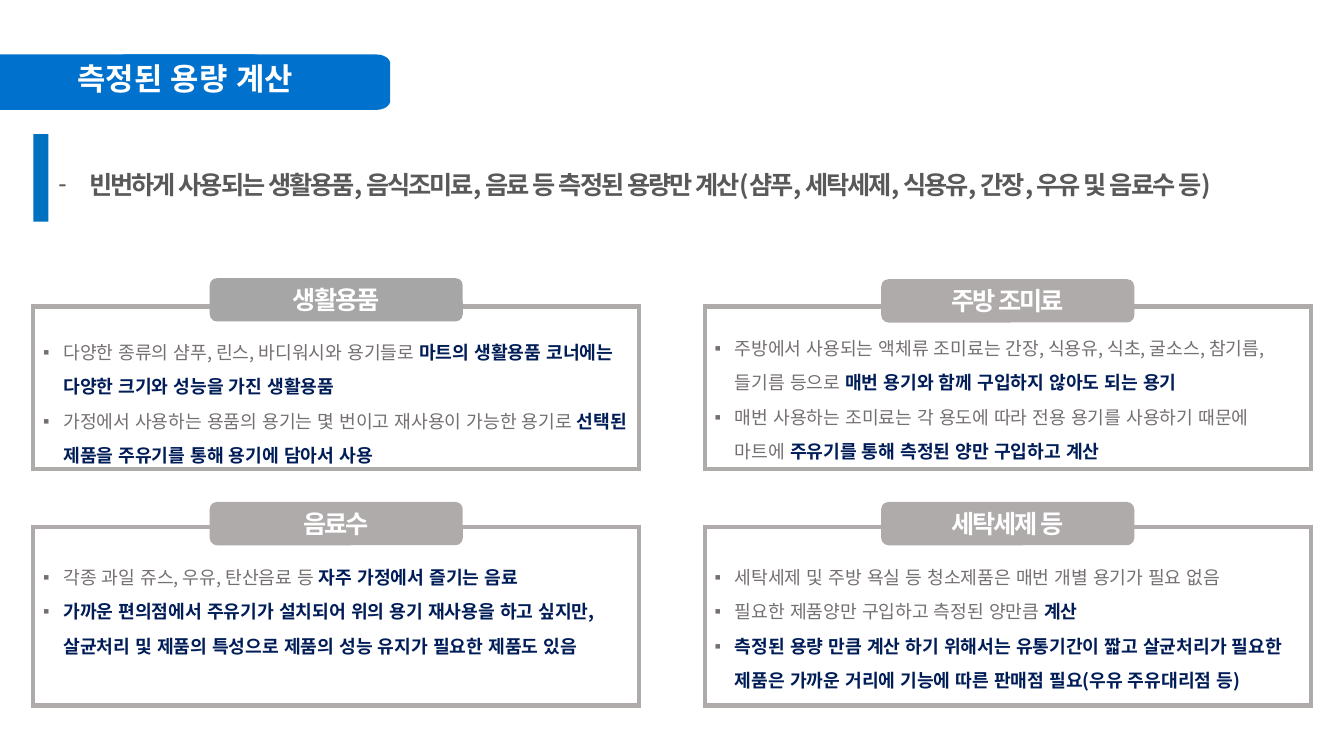
from math import cos, pi, sin

from lxml.etree import SubElement
from pptx import Presentation
from pptx.dml.color import RGBColor
from pptx.enum.shapes import MSO_SHAPE
from pptx.enum.text import MSO_ANCHOR, MSO_AUTO_SIZE, PP_ALIGN
from pptx.oxml.ns import qn
from pptx.util import Inches, Pt

TITLE = "측정된 용량 계산"
SUMMARY = ("빈번하게 사용되는 생활용품, 음식조미료, 음료 등 측정된 용량만 계산"
           "(샴푸, 세탁세제, 식용유, 간장, 우유 및 음료수 등)")

# Each bullet is a pair: plain lead-in, emphasised ending
PANELS = [
    {"label": "생활용품", "tab": "tab", "cell": (0, 0), "label_top": 2.76, "text_top": 3.21,
     "bullets": [
         ("다양한 종류의 샴푸, 린스, 바디워시와 용기들로 ",
          "마트의 생활용품 코너에는 다양한 크기와 성능을 가진 생활용품"),
         ("가정에서 사용하는 용품의 용기는 몇 번이고 재사용이 가능한 용기로 ",
          "선택된 제품을 주유기를 통해 용기에 담아서 사용")]},
    {"label": "음료수", "tab": "frame", "cell": (0, 1), "label_top": 4.98, "text_top": 5.44,
     "bullets": [
         ("각종 과일 쥬스, 우유, 탄산음료 등 ", "자주 가정에서 즐기는 음료"),
         ("", "가까운 편의점에서 주유기가 설치되어 위의 용기 재사용을 하고 싶지만, "
              "살균처리 및 제품의 특성으로 제품의 성능 유지가 필요한 제품도 있음")]},
    {"label": "주방 조미료", "tab": "frame", "cell": (1, 0), "label_top": 2.77, "text_top": 3.17,
     "bullets": [
         ("주방에서 사용되는 액체류 조미료는 간장, 식용유, 식초, 굴소스, 참기름, 들기름 등으로 ",
          "매번 용기와 함께 구입하지 않아도 되는 용기"),
         ("매번 사용하는 조미료는 각 용도에 따라 전용 용기를 사용하기 때문에 마트에 ",
          "주유기를 통해 측정된 양만 구입하고 계산")]},
    {"label": "세탁세제 등", "tab": "frame", "cell": (1, 1), "label_top": 4.98, "text_top": 5.44,
     "bullets": [
         ("세탁세제 및 주방 욕실 등 청소제품은 매번 개별 용기가 필요 없음", ""),
         ("필요한 제품양만 구입하고 측정된 양만큼 ", "계산"),
         ("", "측정된 용량 만큼 계산 하기 위해서는 유통기간이 짧고 살균처리가 필요한 "
              "제품은 가까운 거리에 기능에 따른 판매점 필요(우유 주유대리점 등)")]},
]

COLORS = {"banner": "0072CE", "bar": "0070C0", "frame": "AFABAB", "tab": "A6A6A6",
          "white": "FFFFFF", "summary": "595959", "plain": "757070", "strong": "001D58"}
FONT = "Noto Sans CJK KR"
BULLET_FONT = "Arial"
STYLES = {
    "title": {"size": Pt(22), "bold": True},
    "heading": {"size": Pt(18), "bold": True},
    "plain": {"size": Pt(13), "bold": False},
    "strong": {"size": Pt(13), "bold": True},
}

LEFT, COLUMN_STEP, PANEL_WIDTH = 0.33, 6.66, 6.01
ROWS = [(3.04, 1.61), (5.23, 1.77)]
LABEL_WIDTH, LABEL_HEIGHT = 2.51, 0.43
BANNER_TOP, BANNER_WIDTH, BANNER_HEIGHT = 0.54, 2.65, 0.55
CORNER_X, CORNER_Y, CORNER_STEPS = 0.14, 0.09, 8

deck = Presentation()
deck.slide_width, deck.slide_height = Inches(13.33), Inches(7.5)
slide = deck.slides.add_slide(deck.slide_layouts[6])


def rgb(name):
    return RGBColor.from_string(COLORS[name])


def paint(shape, fill=None, line=None):
    shape.shadow.inherit = False
    if fill:
        shape.fill.solid()
        shape.fill.fore_color.rgb = rgb(fill)
    else:
        shape.fill.background()
    if line:
        shape.line.color.rgb = rgb(line)
        shape.line.width = Pt(3)
        SubElement(shape.line._get_or_add_ln(), qn("a:miter")).set("lim", "800000")
    else:
        shape.line.fill.background()


def add_block(kind, box, fill=None, line=None):
    shape = slide.shapes.add_shape(kind, *map(Inches, box))
    paint(shape, fill, line)
    return shape


def add_frame(box, **settings):
    frame = slide.shapes.add_textbox(*map(Inches, box)).text_frame
    for key, value in {"word_wrap": True, **settings}.items():
        setattr(frame, key, value)
    return frame


def add_run(paragraph, text, style, color, spacing=0):
    run = paragraph.add_run()
    run.text = text
    for key, value in {"name": FONT, **STYLES[style]}.items():
        setattr(run.font, key, value)
    run.font.color.rgb = rgb(color)
    properties = run._r.get_or_add_rPr()
    properties.set("lang", "ko-KR")
    if spacing:
        properties.set("spc", str(int(spacing * 100)))
    SubElement(properties, qn("a:ea")).set("typeface", FONT)


def set_bullet(paragraph, mark, indent, spacing, color=None):
    paragraph.line_spacing = spacing
    properties = paragraph._p.get_or_add_pPr()
    properties.set("marL", str(Inches(indent)))
    properties.set("indent", str(-Inches(indent)))
    if color:
        holder = SubElement(properties, qn("a:buClr"))
        SubElement(holder, qn("a:srgbClr")).set("val", COLORS[color])
    SubElement(properties, qn("a:buFont")).set("typeface", BULLET_FONT)
    SubElement(properties, qn("a:buChar")).set("char", mark)


def add_banner(left):
    """Draw a bar whose two right corners are rounded."""
    right, bottom = left + BANNER_WIDTH, BANNER_TOP + BANNER_HEIGHT
    angles = [pi / 2 * step / CORNER_STEPS for step in range(CORNER_STEPS + 1)]
    upper = [(right - CORNER_X * (1 - sin(a)), BANNER_TOP + CORNER_Y * (1 - cos(a)))
             for a in angles]
    lower = [(x, BANNER_TOP + bottom - y) for x, y in reversed(upper)]
    outline = [(Inches(x), Inches(y)) for x, y in upper + lower + [(left, bottom)]]
    builder = slide.shapes.build_freeform(Inches(left), Inches(BANNER_TOP))
    builder.add_line_segments(outline, close=True)
    paint(builder.convert_to_shape(), "banner")


def add_panel(panel):
    column, row = panel["cell"]
    left = LEFT + column * COLUMN_STEP
    top, height = ROWS[row]
    add_block(MSO_SHAPE.RECTANGLE, (left, top, PANEL_WIDTH, height), line="frame")

    text_top = panel["text_top"]
    frame = add_frame((left, text_top, PANEL_WIDTH, top + height - text_top))
    for index, (plain, strong) in enumerate(panel["bullets"]):
        paragraph = frame.add_paragraph() if index else frame.paragraphs[0]
        set_bullet(paragraph, "▪", 0.2, 1.58, "plain")
        for text, style in ((plain, "plain"), (strong, "strong")):
            if text:
                add_run(paragraph, text, style, style)

    label_left = left + (PANEL_WIDTH - LABEL_WIDTH) / 2
    label = add_block(MSO_SHAPE.ROUNDED_RECTANGLE,
                      (label_left, panel["label_top"], LABEL_WIDTH, LABEL_HEIGHT), panel["tab"])
    label.text_frame.vertical_anchor = MSO_ANCHOR.MIDDLE
    heading = label.text_frame.paragraphs[0]
    heading.alignment = PP_ALIGN.CENTER
    add_run(heading, panel["label"], "heading", "white", -1.5)


for banner_left in (0, 1.22):
    add_banner(banner_left)
title = add_frame((0.67, 0.59, BANNER_WIDTH, 0.47), margin_top=0, margin_bottom=0,
                  auto_size=MSO_AUTO_SIZE.SHAPE_TO_FIT_TEXT)
add_run(title.paragraphs[0], TITLE, "title", "white")

summary = add_frame((0.48, 1.47, 12.08, 0.56), vertical_anchor=MSO_ANCHOR.MIDDLE,
                    auto_size=MSO_AUTO_SIZE.SHAPE_TO_FIT_TEXT)
set_bullet(summary.paragraphs[0], "-", 0.31, 1.5)
add_run(summary.paragraphs[0], SUMMARY, "heading", "summary", -1.5)
add_block(MSO_SHAPE.RECTANGLE, (LEFT, 1.33, 0.15, 0.87), "bar")

for panel in PANELS:
    add_panel(panel)

deck.save("out.pptx")
